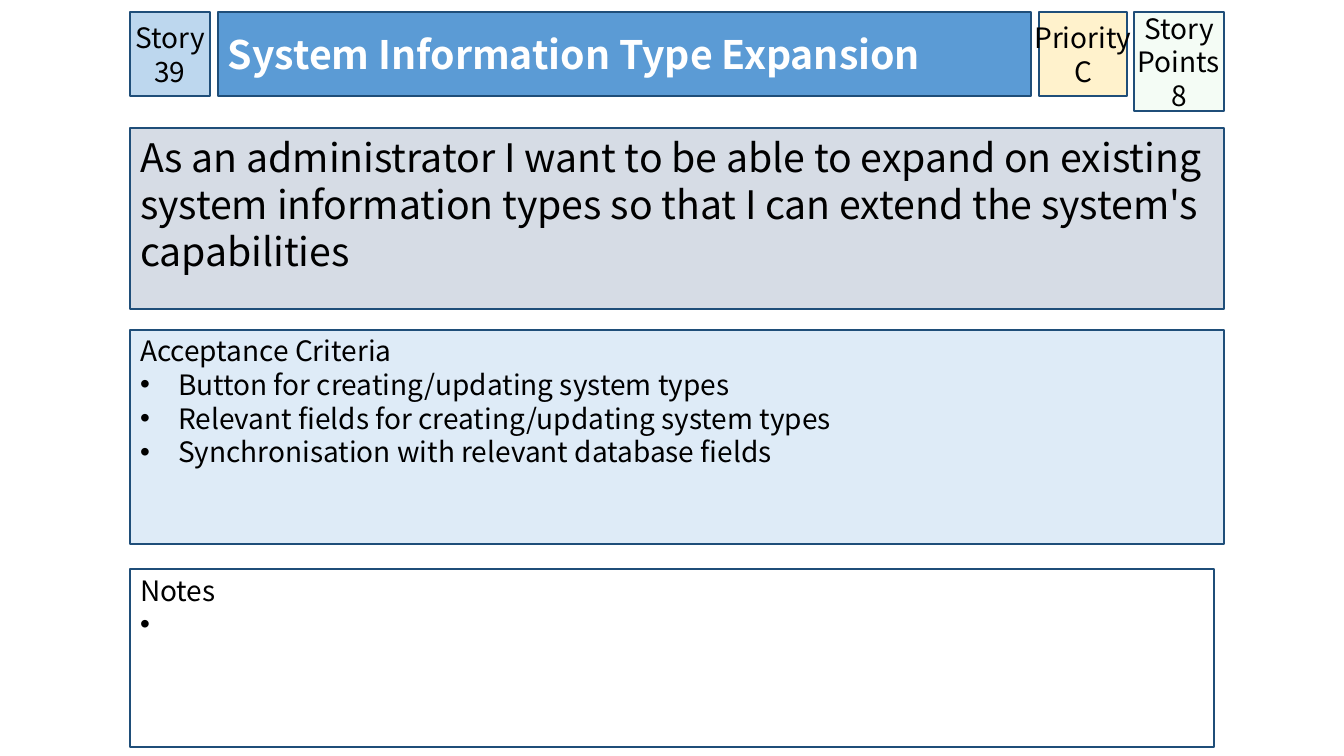
from pptx import Presentation
from pptx.dml.color import RGBColor
from pptx.enum.shapes import MSO_SHAPE
from pptx.enum.text import MSO_ANCHOR, PP_ALIGN
from pptx.oxml.ns import qn
from pptx.util import Pt
from lxml.etree import SubElement

EMU_PER_PX = 914400 / 100.8
FONT = "Noto Sans CJK KR"
BLACK = RGBColor(0x00, 0x00, 0x00)
WHITE = RGBColor(0xFF, 0xFF, 0xFF)
NAVY = RGBColor(0x1F, 0x4E, 0x79)
BLUE = RGBColor(0x5B, 0x9B, 0xD5)
SKY = RGBColor(0xBD, 0xD7, 0xEE)
PALE_BLUE = RGBColor(0xDE, 0xEB, 0xF7)
GREY = RGBColor(0xD6, 0xDC, 0xE5)
GREEN = RGBColor(0xCC, 0xF0, 0xCD)
CREAM = RGBColor(0xFF, 0xF2, 0xCC)

LEFT = 130
TOP = 12
HEADER_HEIGHT = 84
CARD_WIDTH = 1094


def px(length):
    return round(length * EMU_PER_PX)


def write(paragraph, text, size=20, color=BLACK, bold=False,
          align=PP_ALIGN.LEFT, bullet_indent=0):
    if bullet_indent:
        properties = paragraph._p.get_or_add_pPr()
        properties.set("marL", str(px(bullet_indent)))
        properties.set("indent", str(-px(bullet_indent)))
        SubElement(properties, qn("a:buFont"), typeface="Arial")
        SubElement(properties, qn("a:buChar"), char="•")
    paragraph.alignment = align
    run = paragraph.add_run()
    run.text = text
    run.font.name = FONT
    run.font.size = Pt(size)
    run.font.bold = bold
    run.font.color.rgb = color


class StoryCard:
    def __init__(self):
        self.deck = Presentation()
        self.deck.slide_width = px(1344)
        self.deck.slide_height = px(756)
        self.slide = self.deck.slides.add_slide(self.deck.slide_layouts[6])

    def panel(self, left, top, width, height, fill, opacity=100,
              anchor=MSO_ANCHOR.TOP, side_inset=10, top_inset=5, wrap=True):
        shape = self.slide.shapes.add_shape(
            MSO_SHAPE.RECTANGLE, px(left), px(top), px(width), px(height))
        shape.shadow.inherit = False
        shape.fill.solid()
        shape.fill.fore_color.rgb = fill
        if opacity < 100:
            tint = shape._element.spPr.find(qn("a:solidFill"))[0]
            SubElement(tint, qn("a:alpha"), val=str(opacity * 1000))
        shape.line.color.rgb = NAVY
        shape.line.width = Pt(1)
        frame = shape.text_frame
        frame.word_wrap = wrap
        frame.vertical_anchor = anchor
        frame.margin_left = frame.margin_right = px(side_inset)
        frame.margin_top = px(top_inset)
        frame.margin_bottom = px(5)
        return frame

    def badge(self, left, width, lines, fill, height=HEADER_HEIGHT, **style):
        frame = self.panel(left, TOP, width, height, fill,
                           anchor=MSO_ANCHOR.MIDDLE, side_inset=0, **style)
        write(frame.paragraphs[0], lines[0], align=PP_ALIGN.CENTER)
        for line in lines[1:]:
            write(frame.add_paragraph(), line, align=PP_ALIGN.CENTER)

    def banner(self, left, top, width, height, text, fill,
               anchor=MSO_ANCHOR.TOP, **style):
        frame = self.panel(left, top, width, height, fill, anchor=anchor)
        write(frame.paragraphs[0], text, size=28, **style)

    def bullet_panel(self, top, width, height, heading, items, fill, indent):
        frame = self.panel(LEFT, top, width, height, fill, top_inset=4)
        write(frame.paragraphs[0], heading)
        for item in items:
            write(frame.add_paragraph(), item, bullet_indent=indent)

    def save(self):
        self.deck.save("out.pptx")


def main():
    card = StoryCard()
    card.badge(LEFT, 80, ["Story 39"], SKY)
    card.banner(218, TOP, 813, HEADER_HEIGHT, "System Information Type Expansion",
                BLUE, anchor=MSO_ANCHOR.MIDDLE, color=WHITE, bold=True)
    card.banner(LEFT, 128, CARD_WIDTH, 181,
                "As an administrator I want to be able to expand on existing "
                "system information types so that I can extend the system's "
                "capabilities", GREY)
    card.bullet_panel(330, CARD_WIDTH, 214, "Acceptance Criteria", [
        "Button for creating/updating system types",
        "Relevant fields for creating/updating system types",
        "Synchronisation with relevant database fields",
    ], PALE_BLUE, indent=38)
    card.badge(1134, 90, ["Story Points", "8"], GREEN, height=99, opacity=20)
    card.badge(1039, 88, ["Priority", "C"], CREAM, wrap=False)
    card.bullet_panel(569, 1084, 178, "Notes", [" "], WHITE, indent=20)
    card.save()


if __name__ == "__main__":
    main()
